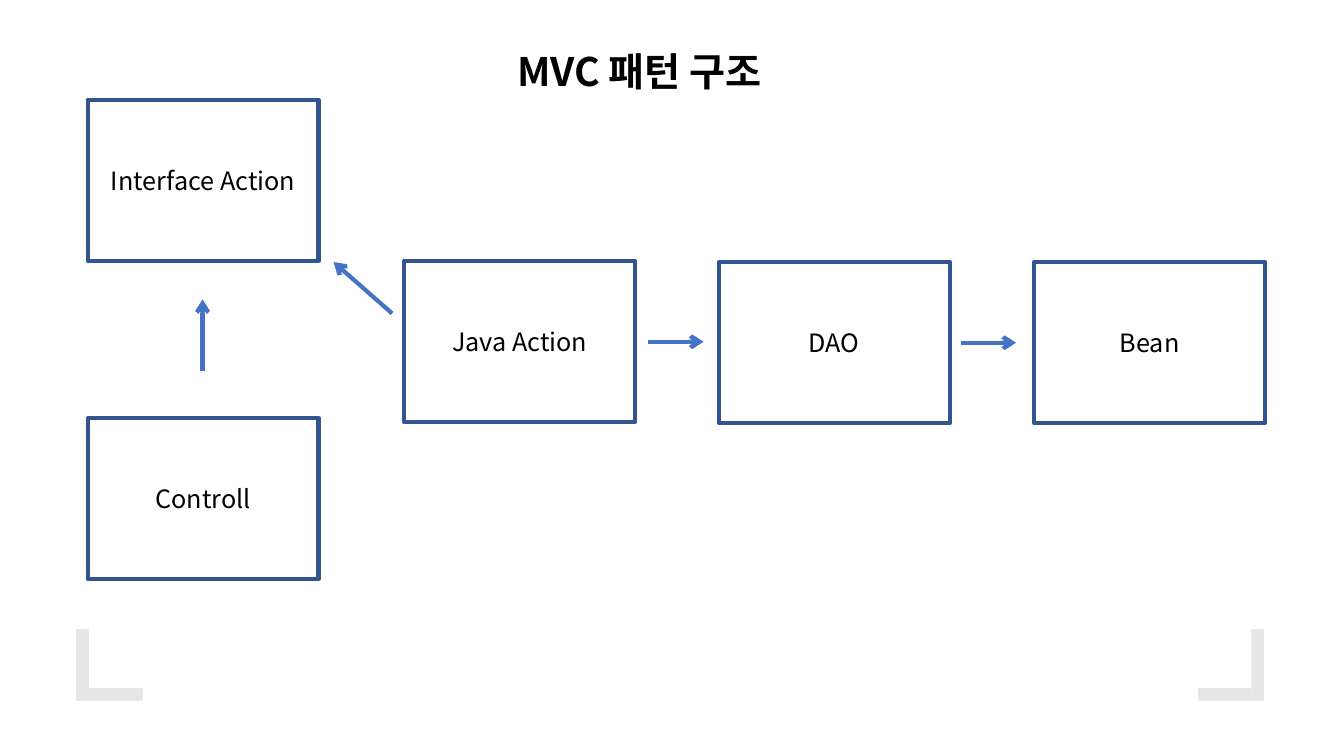
from pptx import Presentation
from pptx.dml.color import RGBColor
from pptx.enum.shapes import MSO_CONNECTOR, MSO_SHAPE
from pptx.enum.text import MSO_ANCHOR, MSO_AUTO_SIZE, PP_ALIGN
from pptx.oxml.ns import qn
from pptx.util import Pt
from lxml.etree import SubElement

BLACK = RGBColor(0x00, 0x00, 0x00)
WHITE = RGBColor(0xFF, 0xFF, 0xFF)
NAVY = RGBColor(0x32, 0x54, 0x91)
BLUE = RGBColor(0x44, 0x72, 0xC4)
GRAY = RGBColor(0xE6, 0xE6, 0xE6)
GRAY_EDGE = RGBColor(0xE8, 0xE8, 0xE8)

BOX_WIDTH, BOX_HEIGHT = 165, 115
LEFT_COLUMN = 62.6
BRACKET_TOP, BRACKET_WIDTH, BRACKET_HEIGHT, BRACKET_THICKNESS = 450, 46.8, 50, 8.3


class Diagram:
    """Draws the elements of one slide in a shared style; lengths are in points."""

    font = "Noto Sans CJK KR"
    line_width = 3

    def __init__(self, page):
        self.page = page

    def add_text(self, frame, text, size, align, bold=False):
        para = frame.paragraphs[0]
        para.alignment = align
        span = para.add_run()
        span.text = text
        span.font.name = self.font
        span.font.size = Pt(size)
        span.font.bold = bold
        span.font.color.rgb = BLACK
        east_asian = SubElement(span.font._element, qn("a:ea"))
        east_asian.set("typeface", self.font)

    def title(self, text, left, top, width, height):
        title = self.page.shapes.title
        title.left, title.top = Pt(left), Pt(top)
        title.width, title.height = Pt(width), Pt(height)
        frame = title.text_frame
        frame.word_wrap = True
        frame.auto_size = MSO_AUTO_SIZE.SHAPE_TO_FIT_TEXT
        frame.vertical_anchor = MSO_ANCHOR.TOP
        self.add_text(frame, text, 28, PP_ALIGN.LEFT, bold=True)
        frame.paragraphs[0].line_spacing = 1.0
        frame.paragraphs[0].space_before = Pt(0)

    def rectangle(self, left, top, width, height, fill, edge, edge_width):
        box = self.page.shapes.add_shape(
            MSO_SHAPE.RECTANGLE, Pt(left), Pt(top), Pt(width), Pt(height))
        box.shadow.inherit = False
        box.fill.solid()
        box.fill.fore_color.rgb = fill
        box.line.color.rgb = edge
        box.line.width = Pt(edge_width)
        return box

    def component(self, name, left, top):
        box = self.rectangle(left, top, BOX_WIDTH, BOX_HEIGHT, WHITE, NAVY, self.line_width)
        box.text_frame.word_wrap = True
        box.text_frame.vertical_anchor = MSO_ANCHOR.MIDDLE
        self.add_text(box.text_frame, name, 18, PP_ALIGN.CENTER)

    def arrow(self, start, end):
        line = self.page.shapes.add_connector(
            MSO_CONNECTOR.STRAIGHT, Pt(start[0]), Pt(start[1]), Pt(end[0]), Pt(end[1]))
        line.line.color.rgb = BLUE
        line.line.width = Pt(self.line_width)
        properties = line._element.spPr
        SubElement(properties.find(qn("a:ln")), qn("a:tailEnd")).set("type", "arrow")
        SubElement(properties, qn("a:effectLst"))

    def bracket(self, left, upright_left):
        """Draw a corner mark: a foot at left and an upright at upright_left."""
        foot_top = BRACKET_TOP + BRACKET_HEIGHT - BRACKET_THICKNESS
        self.rectangle(left, foot_top, BRACKET_WIDTH, BRACKET_THICKNESS, GRAY, GRAY_EDGE, 1)
        self.rectangle(upright_left, BRACKET_TOP, BRACKET_THICKNESS, BRACKET_HEIGHT,
                       GRAY, GRAY_EDGE, 1)


def main():
    deck = Presentation()
    deck.slide_width, deck.slide_height = Pt(960), Pt(540)
    page = deck.slides.add_slide(deck.slide_layouts[5])
    diagram = Diagram(page)

    diagram.title("MVC 패턴 구조", 362.2, 30.2, 301.7, 41)

    for name, left, top in (
        ("Interface Action", LEFT_COLUMN, 71.3),
        ("Controll", LEFT_COLUMN, 298.8),
        ("Java Action", 288.7, 186.5),
        ("DAO", 513.4, 187.2),
        ("Bean", 738.7, 187.2),
    ):
        diagram.component(name, left, top)

    for start, end in (
        ((144.7, 265), (144.7, 213.8)),
        ((280.1, 223.9), (238.3, 187.2)),
        ((463, 244.1), (502.6, 244.1)),
        ((686.2, 244.8), (725.8, 244.8)),
    ):
        diagram.arrow(start, end)

    left_edge, right_edge = 54.8, 902.7
    diagram.bracket(left_edge, left_edge)
    diagram.bracket(right_edge - BRACKET_WIDTH, right_edge - BRACKET_THICKNESS)

    deck.save("out.pptx")


if __name__ == "__main__":
    main()
